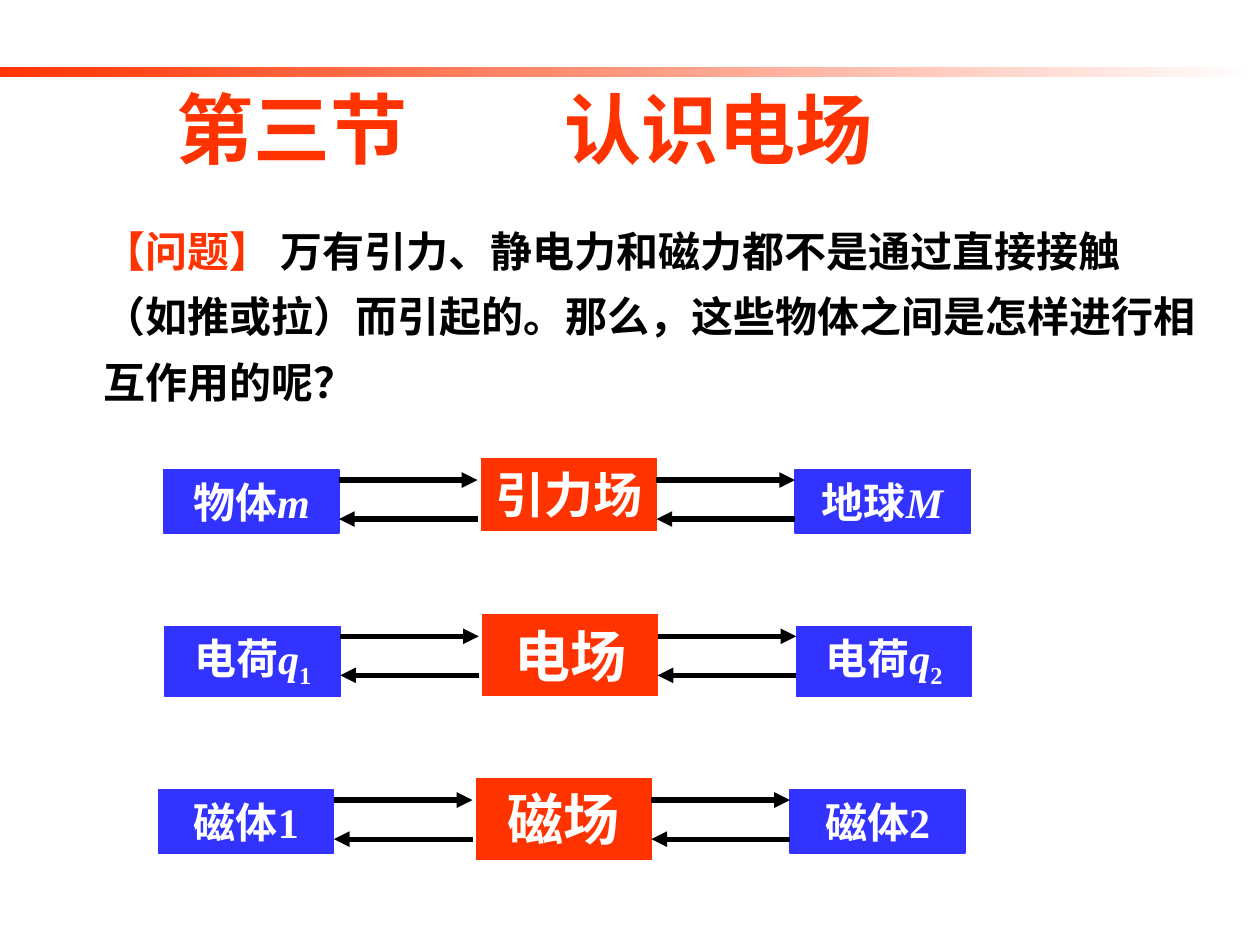
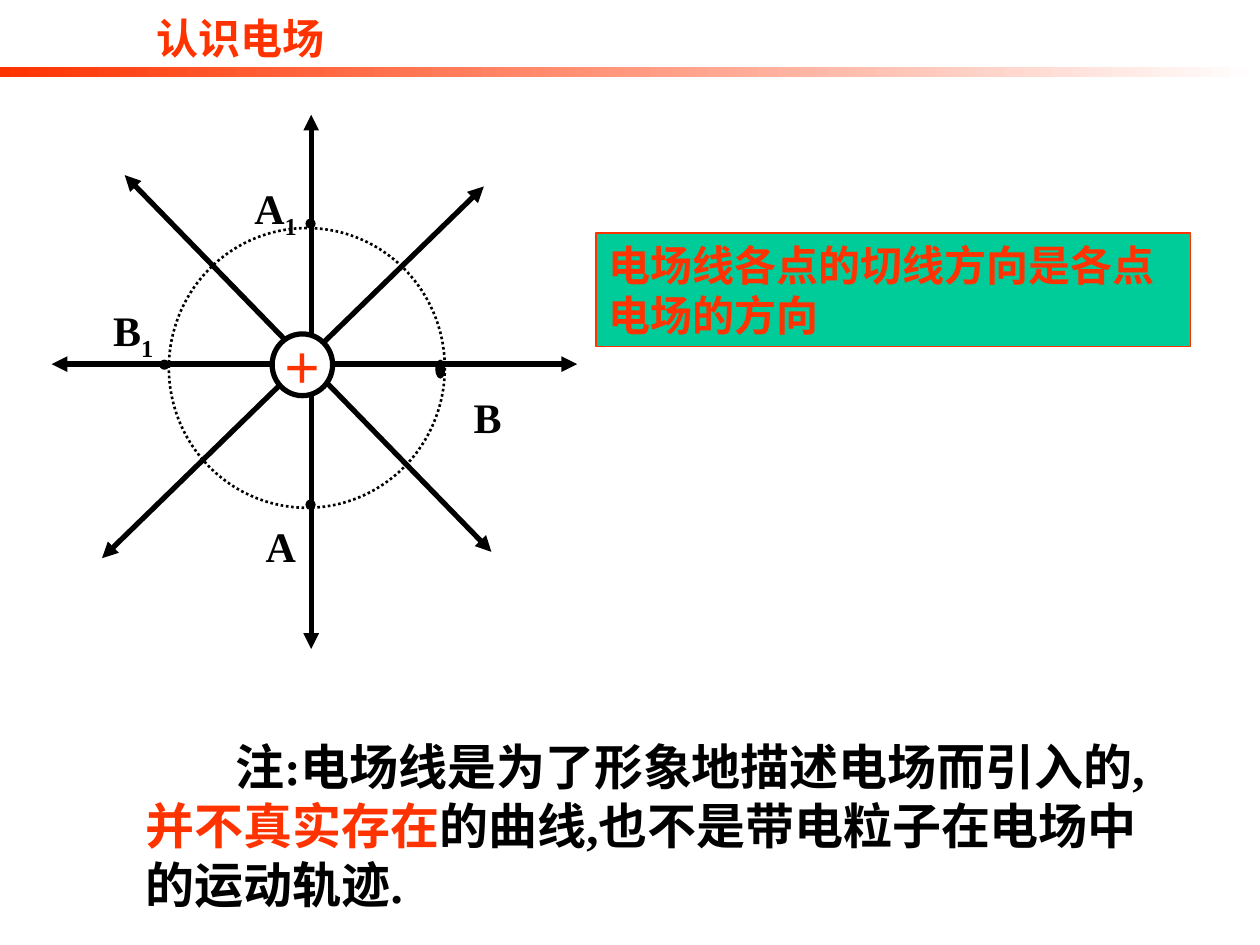
"""Build two slides on the electric field: interactions and field lines."""
from dataclasses import dataclass

from lxml.etree import SubElement
from pptx import Presentation
from pptx.dml.color import RGBColor
from pptx.enum.dml import MSO_LINE
from pptx.enum.shapes import MSO_CONNECTOR, MSO_SHAPE
from pptx.enum.text import MSO_ANCHOR, MSO_AUTO_SIZE, PP_ALIGN
from pptx.oxml.ns import qn
from pptx.util import Inches, Pt

RED = RGBColor(0xFF, 0x33, 0x00)
BLUE = RGBColor(0x33, 0x33, 0xFF)
GREEN = RGBColor(0x00, 0xCC, 0x99)
BLACK = RGBColor(0x00, 0x00, 0x00)
WHITE = RGBColor(0xFF, 0xFF, 0xFF)
FONT = "Times New Roman"
BODY_SIZE = 24


@dataclass(frozen=True)
class Span:
    """A stretch of text with its own look."""
    text: str
    color: RGBColor | None = None
    italic: bool = False
    subscript: bool = False


@dataclass(frozen=True)
class Interaction:
    """Two bodies that act on each other through a field."""
    left: float
    top: float
    height: float
    first: list[Span]
    second: list[Span]
    field: str
    field_size: int
    field_height: float


@dataclass(frozen=True)
class Dot:
    """A marked point on the circle around the charge."""
    left: float
    top: float
    height: float = 0.07


@dataclass(frozen=True)
class PointLabel:
    """The name of a marked point."""
    left: float
    top: float
    width: float
    height: float
    spans: list[Span]


@dataclass(frozen=True)
class FieldLine:
    """A straight field line through the charge."""
    start: tuple[float, float]
    end: tuple[float, float]


INTERACTIONS = [
    Interaction(1.3, 3.73, 0.5, [Span("物体"), Span("m", italic=True)],
                [Span("地球"), Span("M", italic=True)], "引力场", 28, 0.57),
    Interaction(1.31, 4.97, 0.56,
                [Span("电荷"), Span("q", italic=True), Span("1", subscript=True)],
                [Span("电荷"), Span("q", italic=True), Span("2", subscript=True)],
                "电场", 32, 0.64),
    Interaction(1.26, 6.27, 0.5, [Span("磁体1")], [Span("磁体2")], "磁场", 32, 0.64),
]
BODY_WIDTH = 1.39
FIELD_OFFSET = 2.52
SECOND_OFFSET = 5.01
ARROW_LENGTH = 1.1

DOTS = [Dot(2.43, 3.97), Dot(3.46, 2.86, 0.14), Dot(2.43, 1.74), Dot(1.27, 2.86)]
POINT_LABELS = [
    PointLabel(2.01, 4.08, 0.44, 0.5, [Span("A")]),
    PointLabel(3.66, 3.06, 0.42, 0.5, [Span("B")]),
    PointLabel(1.92, 1.4, 0.54, 0.56, [Span("A"), Span("1", subscript=True)]),
    PointLabel(0.8, 2.37, 0.52, 0.56, [Span("B"), Span("1", subscript=True)]),
]
FIELD_LINES = [
    FieldLine((0.41, 2.89), (4.58, 2.89)),
    FieldLine((2.47, 5.15), (2.47, 0.91)),
    FieldLine((0.99, 1.39), (3.9, 4.38)),
    FieldLine((0.81, 4.43), (3.84, 1.48)),
]


def write_text(box, spans: list[Span], *, size: float = BODY_SIZE,
               color: RGBColor = BLACK, align: PP_ALIGN = PP_ALIGN.LEFT,
               anchor: MSO_ANCHOR = MSO_ANCHOR.TOP, wrap: bool = True,
               grow: bool = True, spacing: float | None = None,
               indent: float = 0, tab: float = 0, right_inset: float = 0.1) -> None:
    """Fill a box with one bold paragraph of spans."""
    frame = box.text_frame
    frame.word_wrap = wrap
    frame.margin_right = Inches(right_inset)
    frame.vertical_anchor = anchor
    frame.auto_size = MSO_AUTO_SIZE.SHAPE_TO_FIT_TEXT if grow else MSO_AUTO_SIZE.NONE
    para = frame.paragraphs[0]
    para.alignment = align
    if spacing:
        para.line_spacing = spacing
    properties = para._p.get_or_add_pPr()
    if indent:
        properties.set("indent", str(Inches(indent)))
    if tab:
        tabs = SubElement(properties, qn("a:tabLst"))
        SubElement(tabs, qn("a:tab"), pos=str(Inches(tab)), algn="l")
    for span in spans:
        run = para.add_run()
        run.text = span.text
        run.font.name = FONT
        run.font.size = Pt(size)
        run.font.bold = True
        run.font.italic = span.italic
        run.font.color.rgb = span.color or color
        if span.subscript:
            run._r.get_or_add_rPr().set("baseline", "-25000")


def add_text(shapes, left: float, top: float, width: float, height: float,
             spans: list[Span], **text_format) -> None:
    """Add a text box."""
    box = shapes.add_textbox(Inches(left), Inches(top), Inches(width), Inches(height))
    write_text(box, spans, **text_format)


def add_figure(shapes, kind: MSO_SHAPE, left: float, top: float, width: float,
               height: float, fill: RGBColor, line: RGBColor,
               line_width: float = 0.75):
    """Add a filled and outlined preset shape."""
    figure = shapes.add_shape(kind, Inches(left), Inches(top),
                              Inches(width), Inches(height))
    figure.shadow.inherit = False
    figure.fill.solid()
    figure.fill.fore_color.rgb = fill
    figure.line.color.rgb = line
    figure.line.width = Pt(line_width)
    return figure


def add_arrow(shapes, start: tuple[float, float], end: tuple[float, float],
              both_ends: bool = False) -> None:
    """Add a thick black arrow."""
    arrow = shapes.add_connector(MSO_CONNECTOR.STRAIGHT,
                                 *(Inches(value) for value in (*start, *end)))
    arrow.line.color.rgb = BLACK
    arrow.line.width = Pt(3)
    outline = arrow.line._get_or_add_ln()
    for tag in ("a:headEnd", "a:tailEnd") if both_ends else ("a:tailEnd",):
        SubElement(outline, qn(tag), type="triangle")
    SubElement(arrow._element.spPr, qn("a:effectLst"))


def add_slide(deck):
    """Add a blank slide with the fading red band."""
    slide = deck.slides.add_slide(deck.slide_layouts[6])
    band = slide.shapes.add_shape(MSO_SHAPE.RECTANGLE, 0, Inches(0.53),
                                  deck.slide_width, Inches(0.08))
    band.shadow.inherit = False
    band.line.fill.background()
    band.fill.gradient()
    band.fill.gradient_angle = 0
    for stop, position, color in zip(band.fill.gradient_stops, (0, 1), (RED, WHITE)):
        stop.position = position
        stop.color.rgb = color
    return slide


def add_interaction(slide, row: Interaction) -> None:
    """Draw two bodies, the field between them and the four arrows."""
    shapes = slide.shapes.add_group_shape().shapes
    for offset, spans in ((0, row.first), (SECOND_OFFSET, row.second)):
        body = add_figure(shapes, MSO_SHAPE.RECTANGLE, row.left + offset, row.top,
                          BODY_WIDTH, row.height, BLUE, BLUE)
        write_text(body, spans, color=WHITE, align=PP_ALIGN.CENTER)
    field = add_figure(shapes, MSO_SHAPE.RECTANGLE, row.left + FIELD_OFFSET,
                       row.top - 0.09, BODY_WIDTH, row.field_height, RED, RED)
    write_text(field, [Span(row.field)], size=row.field_size, color=WHITE,
               align=PP_ALIGN.CENTER)
    upper, lower = row.top + 0.08, row.top + 0.39
    for offset in (BODY_WIDTH, FIELD_OFFSET + BODY_WIDTH):
        near = row.left + offset
        far = near + ARROW_LENGTH
        add_arrow(shapes, (near, upper), (far, upper))
        add_arrow(shapes, (far, lower), (near, lower))


def build_question_slide(deck) -> None:
    """Ask how bodies act on each other without contact."""
    slide = add_slide(deck)
    add_text(slide.shapes, 1.3, 0.6, 6.62, 1.57, [Span("第三节\t认识电场")],
             size=44, color=RED, tab=3.08)
    add_text(slide.shapes, 0.72, 1.62, 8.9, 1.66,
             [Span("【问题】 ", RED),
              Span("万有引力、静电力和磁力都不是通过直接接触（如推或拉）而引起的。"
                   "那么，这些物体之间是怎样进行相互作用的呢？")], spacing=1.3)
    for row in INTERACTIONS:
        add_interaction(slide, row)


def build_field_line_slide(deck) -> None:
    """Show the field lines of a positive charge."""
    slide = add_slide(deck)
    add_text(slide.shapes, 1.14, 0.05, 3.91, 0.5, [Span("认识电场")], color=RED)

    points = slide.shapes.add_group_shape().shapes
    circle = add_figure(points, MSO_SHAPE.OVAL, 1.34, 1.81, 2.19, 2.22,
                        WHITE, BLACK, 1.5)
    circle.line.dash_style = MSO_LINE.ROUND_DOT
    for dot in DOTS:
        add_figure(points, MSO_SHAPE.OVAL, dot.left, dot.top, 0.07, dot.height,
                   BLACK, BLACK)
    for label in POINT_LABELS:
        add_text(points, label.left, label.top, label.width, label.height,
                 label.spans, wrap=False)

    lines = slide.shapes.add_group_shape().shapes
    for line in FIELD_LINES:
        add_arrow(lines, line.start, line.end, both_ends=True)

    charge = add_figure(slide.shapes, MSO_SHAPE.OVAL, 2.16, 2.65, 0.48, 0.49,
                        WHITE, BLACK, 3)
    write_text(charge, [Span("+")], size=36, color=RED, align=PP_ALIGN.CENTER,
               anchor=MSO_ANCHOR.MIDDLE, wrap=False, grow=False)
    rule = add_figure(slide.shapes, MSO_SHAPE.RECTANGLE, 4.73, 1.85, 4.72, 0.9,
                      GREEN, RED)
    write_text(rule, [Span("电场线各点的切线方向是各点电场的方向")], color=RED)
    add_text(slide.shapes, 1.06, 5.8, 8.35, 1.5,
             [Span("注:电场线是为了形象地描述电场而引入的,"),
              Span("并不真实存在", RED),
              Span("的曲线,也不是带电粒子在电场中的运动轨迹.")],
             size=28, indent=0.71, right_inset=0.29)


def main() -> None:
    """Build and save the deck."""
    deck = Presentation()
    deck.slide_width = Inches(10)
    deck.slide_height = Inches(7.5)
    build_question_slide(deck)
    build_field_line_slide(deck)
    deck.save("out.pptx")


if __name__ == "__main__":
    main()
